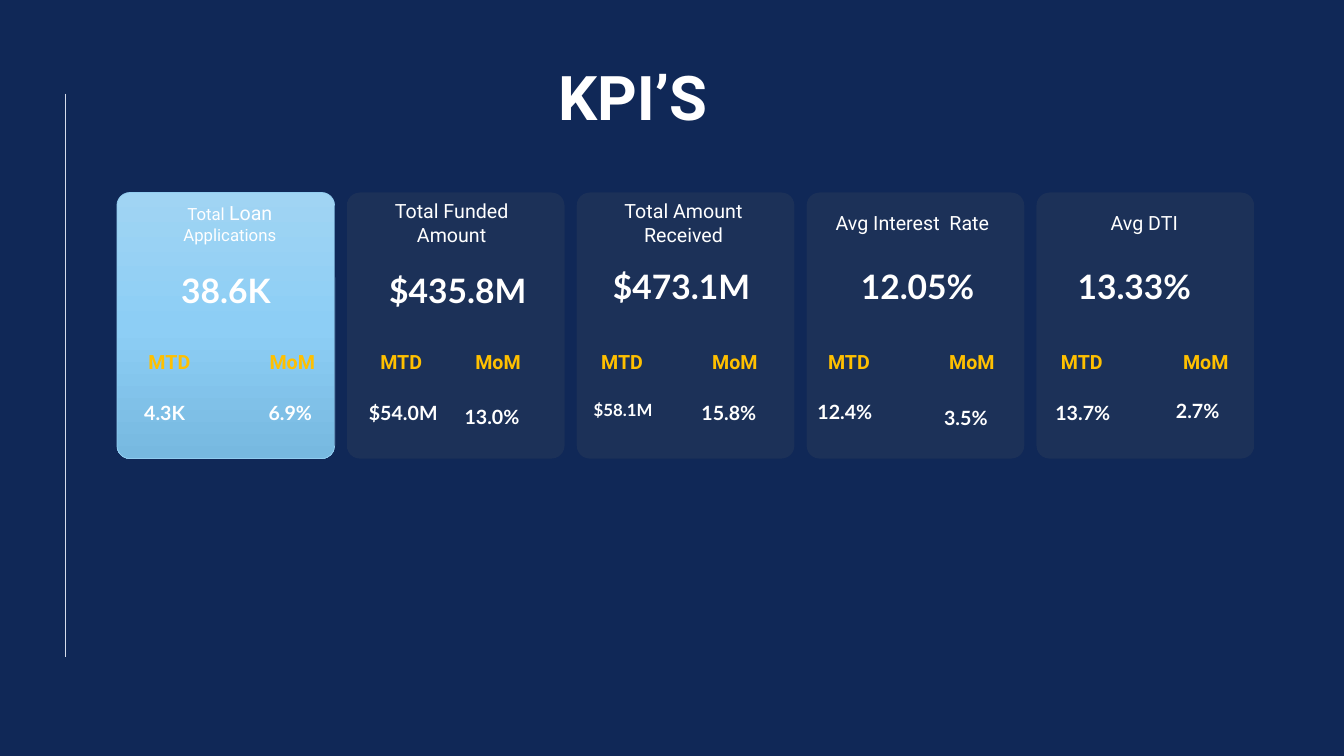
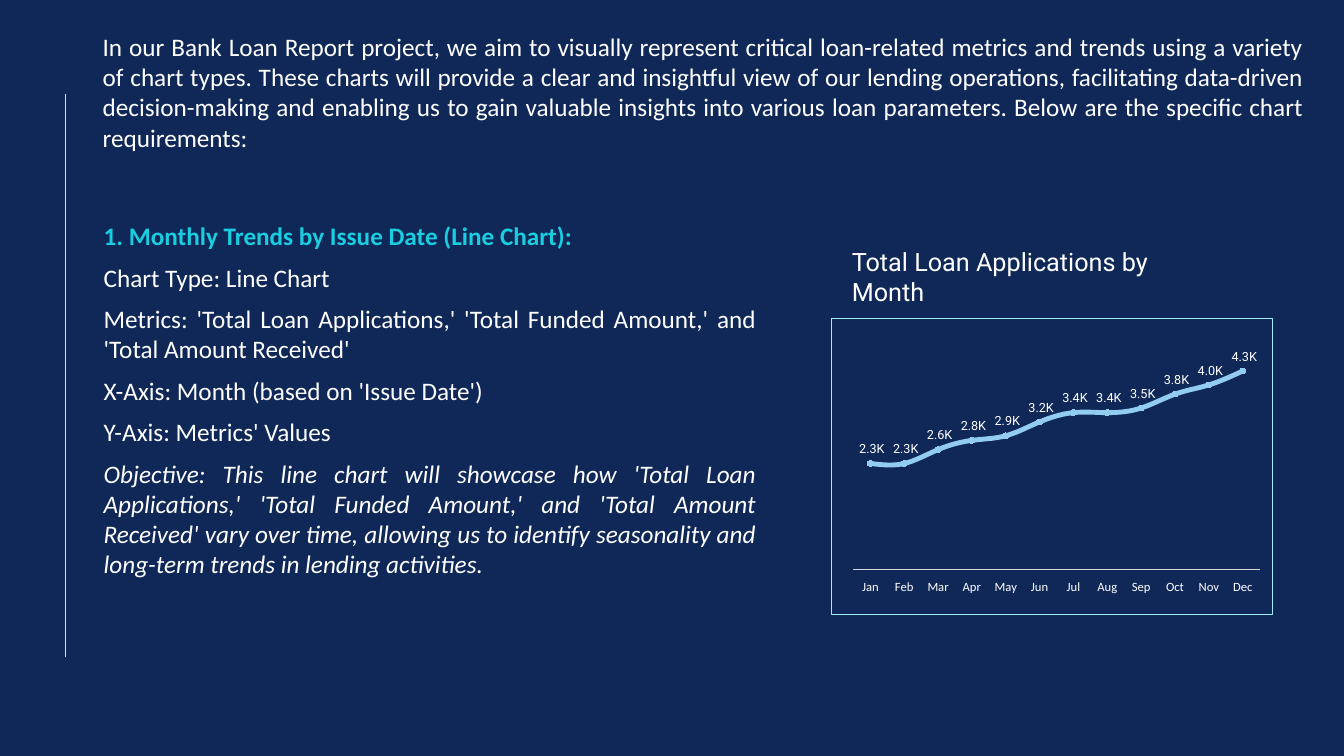
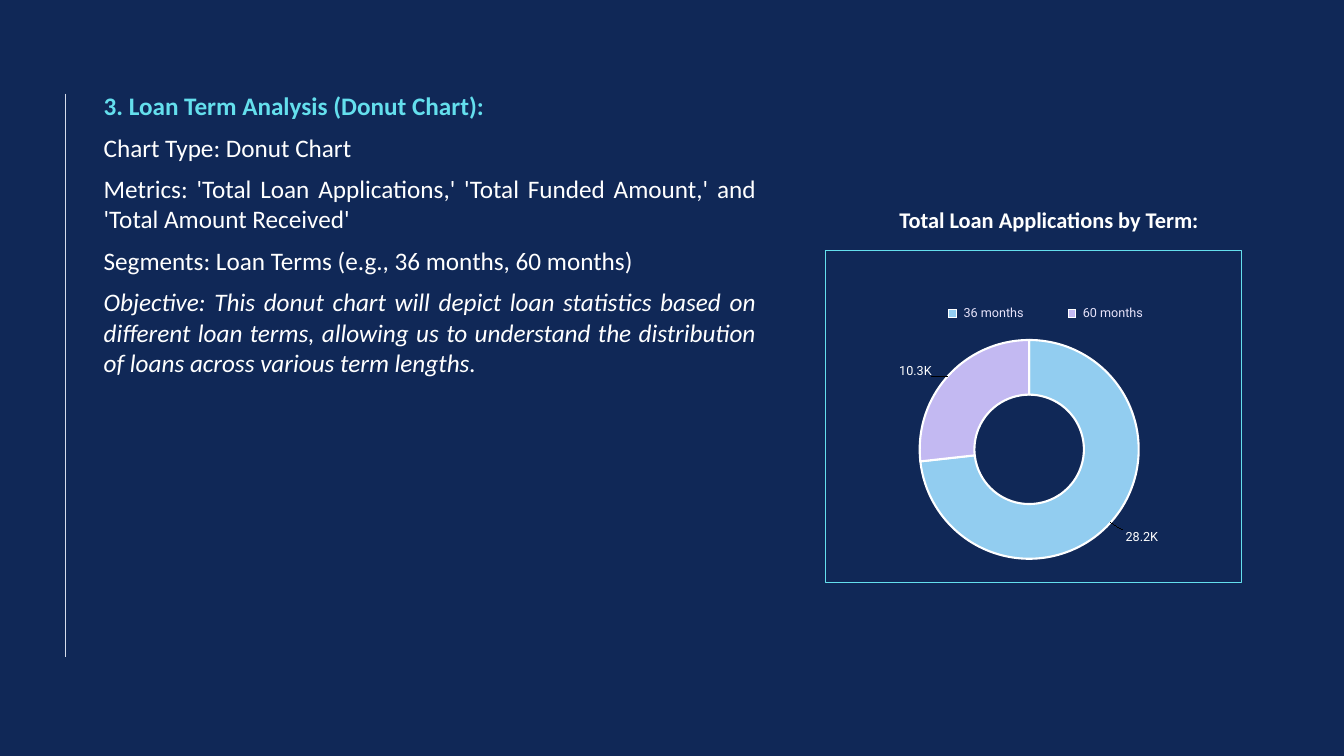
from collections import namedtuple

from pptx import Presentation
from pptx.chart.data import CategoryChartData
from pptx.dml.color import RGBColor
from pptx.enum.chart import XL_CHART_TYPE as ChartType
from pptx.enum.chart import XL_LABEL_POSITION as LabelPosition
from pptx.enum.chart import XL_LEGEND_POSITION as LegendPosition
from pptx.enum.chart import XL_MARKER_STYLE as MarkerStyle
from pptx.enum.chart import XL_TICK_LABEL_POSITION as TickLabelPosition
from pptx.enum.chart import XL_TICK_MARK as TickMark
from pptx.enum.shapes import MSO_CONNECTOR as Connector
from pptx.enum.shapes import MSO_SHAPE as Shape
from pptx.enum.text import MSO_ANCHOR as Anchor
from pptx.enum.text import PP_ALIGN as Align
from pptx.oxml import parse_xml
from pptx.oxml.ns import nsdecls, qn
from pptx.util import Inches, Pt

NAVY = "102857"
WHITE = "FFFFFF"
RULE = "D5DCEB"
CARD = "1D3259"
GOLD = "FFC000"
SKY = "92CDF0"
LILAC = "C3B9F2"
CYAN = "1ACEE2"
AQUA = "64DFED"
PALE_AQUA = "A2ECF4"
THOUSANDS = '\\ 0.0,"K"'

CARD_LEFT, CARD_TOP, CARD_PITCH = 1.16, 1.91, 2.28
CARD_WIDTH, CARD_HEIGHT = 2.16, 2.64

Entry = namedtuple("Entry", "text x y size", defaults=[14])
Card = namedtuple("Card", "label label_x total mtd_x mom_x mtd mom")

CARDS = [
    Card([("Total ", 12), ("Loan", 14), (" Applications", 12)], 2.28,
         Entry(" 38.6K", 2.2, 2.88, 24), 1.68, 2.9,
         Entry(" 4.3K", 1.61, 4.09), Entry("6.9%", 2.88, 4.09)),
    Card([("Total Funded Amount", 14)], 4.48,
         Entry("$435.8M", 4.54, 2.88, 24), 3.98, 4.94,
         Entry("$54.0M", 4.0, 4.09), Entry("13.0%", 4.88, 4.13)),
    Card([("Total Amount Received", 14)], 6.78,
         Entry("$473.1M", 6.76, 2.84, 24), 6.17, 7.29,
         Entry("$58.1M", 6.18, 4.07, 12), Entry("15.8%", 7.23, 4.09)),
    Card([("Avg Interest  Rate", 14)], 9.05,
         Entry("12.05%", 9.1, 2.84, 24), 8.42, 9.64,
         Entry("12.4%", 8.38, 4.08), Entry("3.5%", 9.58, 4.14)),
    Card([("Avg DTI", 14)], 11.35,
         Entry("13.33%", 11.25, 2.84, 24), 10.73, 11.96,
         Entry("13.7%", 10.74, 4.09), Entry("2.7%", 11.88, 4.07)),
]

INTRO = (
    "In our Bank Loan Report project, we aim to visually represent critical "
    "loan-related metrics and trends using a variety of chart types. These "
    "charts will provide a clear and insightful view of our lending operations, "
    "facilitating data-driven decision-making and enabling us to gain valuable "
    "insights into various loan parameters. Below are the specific chart "
    "requirements:"
)
METRICS = ("Metrics: 'Total Loan Applications,' 'Total Funded Amount,' and "
           "'Total Amount Received'")
TREND_LINES = [
    "1. Monthly Trends by Issue Date (Line Chart):",
    "Chart Type: Line Chart",
    METRICS,
    "X-Axis: Month (based on 'Issue Date')",
    "Y-Axis: Metrics' Values",
    "Objective: This line chart will showcase how 'Total Loan Applications,' "
    "'Total Funded Amount,' and 'Total Amount Received' vary over time, allowing "
    "us to identify seasonality and long-term trends in lending activities.",
]
TERM_LINES = [
    "3. Loan Term Analysis (Donut Chart):",
    "Chart Type: Donut Chart",
    METRICS,
    "Segments: Loan Terms (e.g., 36 months, 60 months)",
    "Objective: This donut chart will depict loan statistics based on different "
    "loan terms, allowing us to understand the distribution of loans across "
    "various term lengths.",
]
MONTHS = ["Jan", "Feb", "Mar", "Apr", "May", "Jun",
          "Jul", "Aug", "Sep", "Oct", "Nov", "Dec"]
APPLICATIONS = [2300, 2300, 2600, 2800, 2900, 3200,
                3400, 3400, 3500, 3800, 4000, 4300]


def rgb(color):
    return RGBColor.from_string(color)


def set_font(font, name, size, color=WHITE, bold=False, italic=False):
    font.name = name
    font.size = Pt(size)
    font.color.rgb = rgb(color)
    font.bold = bold
    font.italic = italic


def add_slide(presentation):
    slide = presentation.slides.add_slide(presentation.slide_layouts[6])
    slide.background.fill.solid()
    slide.background.fill.fore_color.rgb = rgb(NAVY)
    rule = slide.shapes.add_connector(
        Connector.STRAIGHT, Inches(0.65), Inches(0.93), Inches(0.65), Inches(6.52))
    rule.line.color.rgb = rgb(RULE)
    rule.line.width = Pt(0.5)
    rule._element.spPr.append(parse_xml(f"<a:effectLst {nsdecls('a')}/>"))
    return slide


def add_frame(slide, left, top, width, height, anchor=Anchor.TOP):
    box = slide.shapes.add_textbox(
        Inches(left), Inches(top), Inches(width), Inches(height))
    box.text_frame.word_wrap = True
    box.text_frame.vertical_anchor = anchor
    return box.text_frame


def add_text(slide, place, text, name, size, color=WHITE, bold=False,
             align=Align.CENTER, anchor=Anchor.TOP):
    paragraph = add_frame(slide, *place, anchor).paragraphs[0]
    paragraph.text = text
    paragraph.alignment = align
    set_font(paragraph.font, name, size, color, bold)


def add_centered(slide, entry, width, name="Lato", color=WHITE):
    place = (entry.x - width / 2, entry.y - 0.3, width, 0.6)
    add_text(slide, place, entry.text, name, entry.size, color, True,
             anchor=Anchor.MIDDLE)


def add_requirements(slide, top, height, lines, heading_color):
    frame = add_frame(slide, 0.93, top, 6.67, height)
    last = len(lines) - 1
    for index, line in enumerate(lines):
        paragraph = frame.add_paragraph() if index else frame.paragraphs[0]
        paragraph.text = line
        paragraph.alignment = Align.JUSTIFY
        paragraph.space_after = Pt(8)
        set_font(paragraph.font, "Calibri", 18, WHITE if index else heading_color,
                 bold=index == 0, italic=index == last)


def set_gradient(shape, colors):
    shape.fill.gradient()
    stops = "".join(
        f'<a:gs pos="{index * 50000}"><a:srgbClr val="{color}"/></a:gs>'
        for index, color in enumerate(colors))
    gradient = shape._element.spPr.find(qn("a:gradFill"))
    gradient.getparent().replace(gradient, parse_xml(
        f'<a:gradFill {nsdecls("a")} rotWithShape="1"><a:gsLst>{stops}</a:gsLst>'
        '<a:lin ang="5400000" scaled="0"/></a:gradFill>'))


def add_card(slide, index, card):
    shape = slide.shapes.add_shape(
        Shape.ROUNDED_RECTANGLE, Inches(CARD_LEFT + index * CARD_PITCH),
        Inches(CARD_TOP), Inches(CARD_WIDTH), Inches(CARD_HEIGHT))
    shape.adjustments[0] = 0.06
    shape.shadow.inherit = False
    if index == 0:
        set_gradient(shape, ["A0D4F3", "8DCEF5", "77B9E0"])
        shape.line.color.rgb = rgb(SKY)
        shape.line.width = Pt(0.5)
    else:
        shape.fill.solid()
        shape.fill.fore_color.rgb = rgb(CARD)
        color = shape._element.spPr.find(qn("a:solidFill"))[0]
        color.append(parse_xml(f'<a:alpha {nsdecls("a")} val="93000"/>'))
        shape.line.fill.background()

    label = add_frame(slide, card.label_x - 0.95, 1.94, 1.9, 0.54, Anchor.MIDDLE)
    paragraph = label.paragraphs[0]
    paragraph.alignment = Align.CENTER
    for text, size in card.label:
        run = paragraph.add_run()
        run.text = text
        set_font(run.font, "Roboto", size)

    add_centered(slide, card.total, 1.8)
    for heading, x in (("MTD", card.mtd_x), ("MoM", card.mom_x)):
        add_centered(slide, Entry(heading, x, 3.59), 1.0, "Roboto", GOLD)
    for entry in (card.mtd, card.mom):
        add_centered(slide, entry, 0.93)


def manual_layout(x, y, width=None, height=None, inner=False):
    target = '<c:layoutTarget val="inner"/>' if inner else ""
    modes, sizes = "", ""
    if width:
        modes = '<c:xMode val="edge"/><c:yMode val="edge"/>'
        sizes = f'<c:w val="{width}"/><c:h val="{height}"/>'
    return parse_xml(
        f'<c:layout {nsdecls("c")}><c:manualLayout>{target}{modes}'
        f'<c:x val="{x}"/><c:y val="{y}"/>{sizes}</c:manualLayout></c:layout>')


def set_layout(element, position, layout):
    for existing in element.findall(qn("c:layout")):
        element.remove(existing)
    element.insert(position, layout)


def add_chart(slide, kind, place, categories, values, border, plot_area):
    data = CategoryChartData()
    data.categories = categories
    data.add_series("Series 1", values)
    chart = slide.shapes.add_chart(kind, *map(Inches, place), data).chart
    chart.has_title = False
    chart.has_legend = False
    set_font(chart.font, "Roboto", 10)
    space = chart._chartSpace
    space.find(qn("c:chart")).addnext(parse_xml(
        f'<c:spPr {nsdecls("c", "a")}><a:noFill/><a:ln w="9525"><a:solidFill>'
        f'<a:srgbClr val="{border}"/></a:solidFill></a:ln></c:spPr>'))
    set_layout(space.find(qn("c:chart")).find(qn("c:plotArea")), 0,
               manual_layout(*plot_area, inner=True))
    series = chart.plots[0].series[0]
    labels = series.data_labels
    labels.show_value = True
    labels.number_format = THOUSANDS
    labels.number_format_is_linked = False
    set_font(labels.font, "Roboto", 9)
    return chart, series


def add_trend_chart(slide):
    chart, series = add_chart(
        slide, ChartType.LINE_MARKERS, (8.24, 3.15, 4.39, 2.95), MONTHS,
        APPLICATIONS, PALE_AQUA, (0.05, 0.07, 0.92, 0.78))
    chart.plots[0].vary_by_categories = False
    series.data_labels.position = LabelPosition.ABOVE
    series.smooth = True
    series.format.line.color.rgb = rgb(SKY)
    series.format.line.width = Pt(3.5)
    marker = series.marker
    marker.style = MarkerStyle.CIRCLE
    marker.size = 4
    marker.format.fill.solid()
    marker.format.fill.fore_color.rgb = rgb(SKY)
    marker.format.line.color.rgb = rgb(SKY)

    months = chart.category_axis
    months.major_tick_mark = TickMark.NONE
    months.minor_tick_mark = TickMark.NONE
    months.tick_label_position = TickLabelPosition.LOW
    months.format.line.color.rgb = rgb("D9D9D9")
    months.format.line.width = Pt(0.75)
    set_font(months.tick_labels.font, "Calibri", 9)
    amounts = chart.value_axis
    amounts.minimum_scale = 0
    amounts.maximum_scale = 5000
    amounts.has_major_gridlines = False
    amounts.visible = False


def add_term_chart(slide):
    chart, series = add_chart(
        slide, ChartType.DOUGHNUT, (8.18, 2.48, 4.14, 3.3),
        [" 36 months", " 60 months"], [28200, 10300], AQUA,
        (0.16, 0.27, 0.66, 0.66))
    chart.plots[0]._element.find(qn("c:holeSize")).set("val", "80")
    chart.has_legend = True
    legend = chart.legend
    legend.position = LegendPosition.TOP
    legend.include_in_layout = False
    set_font(legend.font, "Roboto", 9, "E7E3FA")
    set_layout(legend._element, 1, manual_layout(0.2, 0.15, 0.66, 0.08))

    for index, color in enumerate([SKY, LILAC]):
        point = series.points[index]
        point.format.fill.solid()
        point.format.fill.fore_color.rgb = rgb(color)
        point.format.line.color.rgb = rgb(WHITE)
        point.format.line.width = Pt(1.5)
        set_font(point.data_label.font, "Roboto", 9)

    shifts = [(0.12, 0.1), (-0.13, -0.07)]
    labels = series.data_labels._element.findall(qn("c:dLbl"))
    for label, shift in zip(labels, shifts):
        set_layout(label, 1, manual_layout(*shift))
        number_format = parse_xml(f'<c:numFmt {nsdecls("c")} sourceLinked="0"/>')
        number_format.set("formatCode", THOUSANDS)
        label.insert(2, number_format)


def build_kpis(presentation):
    slide = add_slide(presentation)
    for index, card in enumerate(CARDS):
        add_card(slide, index, card)
    add_text(slide, (4.56, 0.54, 3.43, 0.84), "KPI’S", "Roboto", 44, bold=True)


def build_trends(presentation):
    slide = add_slide(presentation)
    add_text(slide, (0.92, 0.26, 12.11, 1.31), INTRO, "Calibri", 18,
             align=Align.JUSTIFY)
    add_requirements(slide, 2.14, 4.0, TREND_LINES, CYAN)
    add_trend_chart(slide)
    add_text(slide, (8.35, 2.39, 3.7, 0.7), "Total Loan Applications by Month",
             "Roboto", 18, align=Align.LEFT)


def build_terms(presentation):
    slide = add_slide(presentation)
    add_requirements(slide, 0.85, 3.0, TERM_LINES, AQUA)
    add_term_chart(slide)
    add_text(slide, (8.8, 1.88, 3.21, 0.6), "Total Loan Applications by Term:",
             "Calibri", 16, bold=True, anchor=Anchor.MIDDLE)


def main():
    presentation = Presentation()
    presentation.slide_width = Inches(13.33)
    presentation.slide_height = Inches(7.5)
    build_kpis(presentation)
    build_trends(presentation)
    build_terms(presentation)
    presentation.save("out.pptx")


if __name__ == "__main__":
    main()
